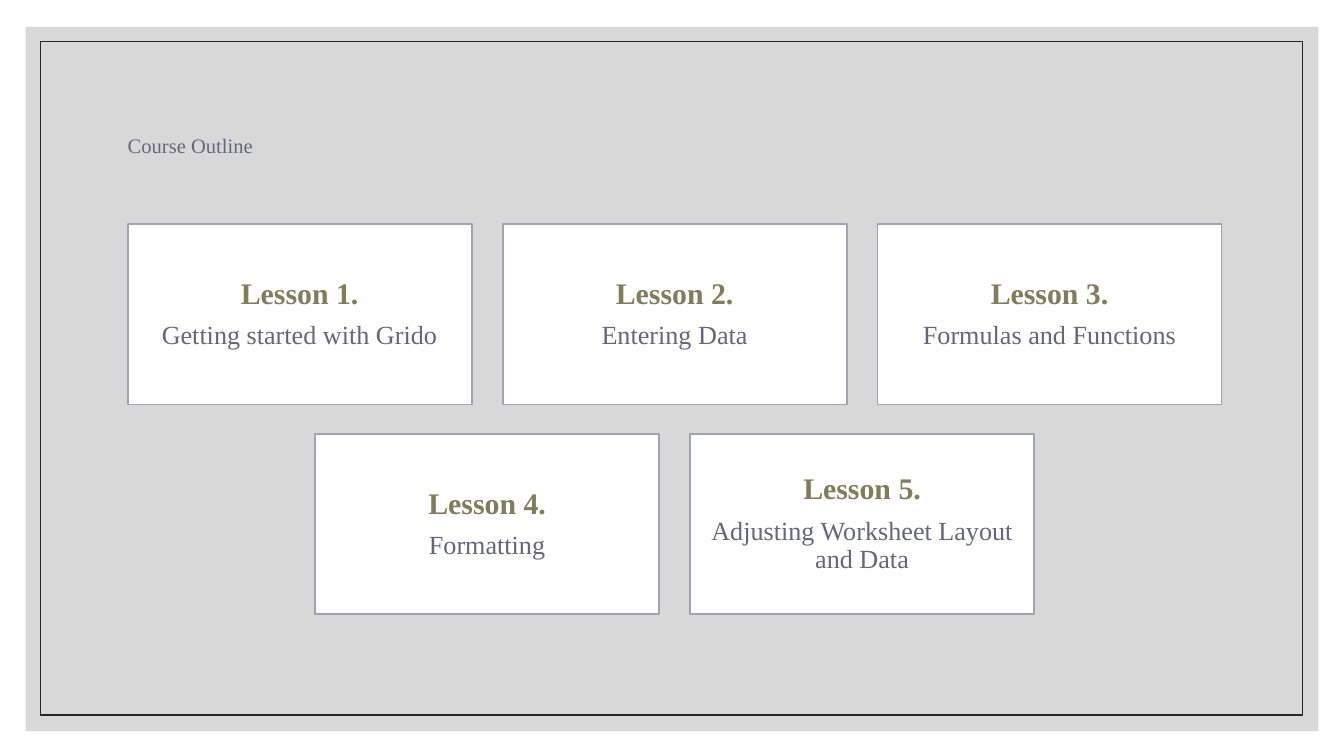
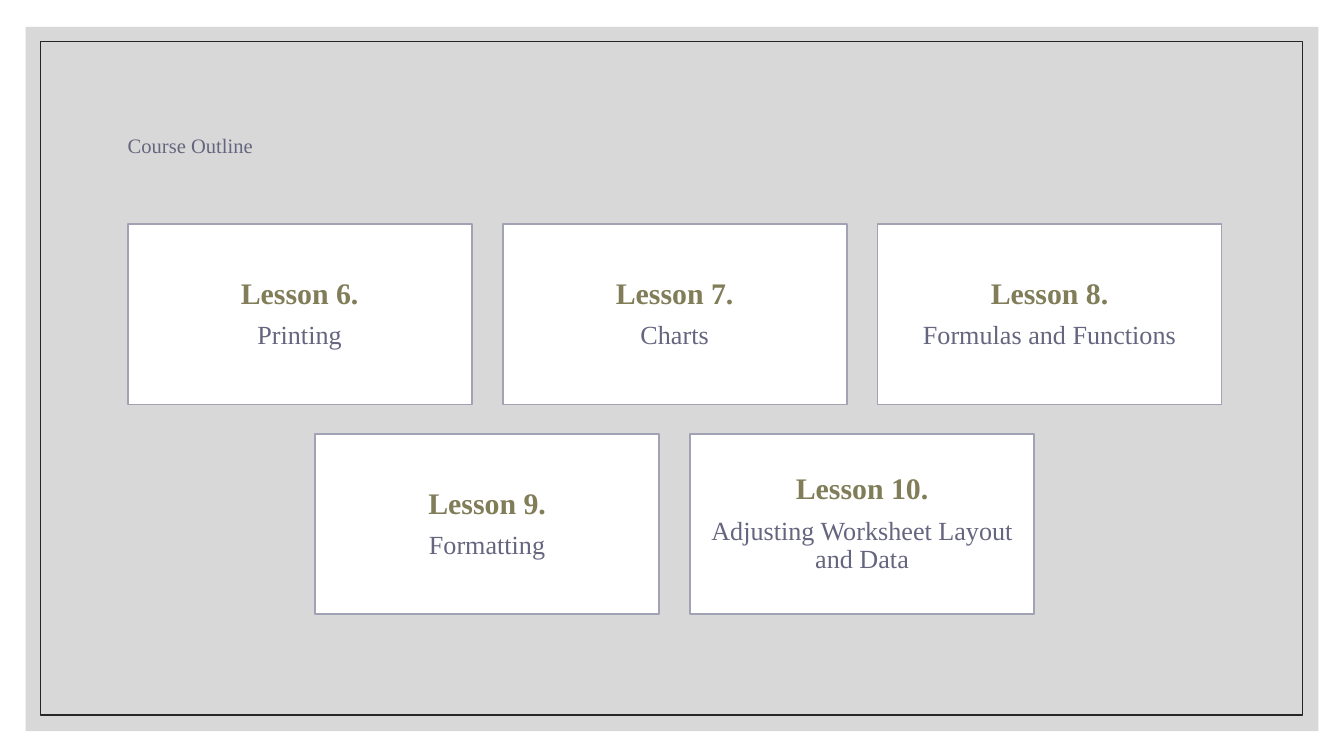
import pptx
import pptx.dml.color
import pptx.enum.shapes
import pptx.enum.text
import pptx.oxml.ns
import pptx.util
from lxml import etree
from pptx.util import Inches

RGBColor = pptx.dml.color.RGBColor
PP_ALIGN = pptx.enum.text.PP_ALIGN

# Colours
WHITE = RGBColor(0xFF, 0xFF, 0xFF)
PANEL_GREY = RGBColor(0xBF, 0xBF, 0xBF)
FRAME_BLACK = RGBColor(0x26, 0x26, 0x26)
CARD_EDGE = RGBColor(0xA2, 0xA2, 0xB5)
SLATE = RGBColor(0x65, 0x65, 0x7F)
OLIVE = RGBColor(0x80, 0x7D, 0x58)

# Text styles
FONT = "Times New Roman"
TITLE_FONT = {"name": FONT, "size": pptx.util.Pt(11), "bold": False}
LESSON_FONT = {"name": FONT, "size": pptx.util.Pt(16), "bold": True}
TOPIC_FONT = {"name": FONT, "size": pptx.util.Pt(14), "bold": False}
TITLE_PARAGRAPH = {"alignment": PP_ALIGN.LEFT, "line_spacing": 0.9}
LESSON_PARAGRAPH = {"alignment": PP_ALIGN.CENTER, "line_spacing": 0.9}
TOPIC_PARAGRAPH = {**LESSON_PARAGRAPH, "space_before": pptx.util.Pt(6)}

# Card grid, in inches: each row is centred on the same axis
CARD_WIDTH, CARD_HEIGHT = 2.56, 1.34
COLUMN_GAP, ROW_GAP = 0.23, 0.22
GRID_CENTER, GRID_TOP = 5.02, 1.67
ROW_SIZES = (3, 2)

OUTLINES = [
    ["Getting started with Grido", "Entering Data", "Formulas and Functions",
     "Formatting", "Adjusting Worksheet Layout and Data"],
    ["Printing", "Charts", "Formulas and Functions",
     "Formatting", "Adjusting Worksheet Layout and Data"],
]


def apply_format(target, values):
    for attribute, value in values.items():
        setattr(target, attribute, value)


def add_rectangle(slide, box, fill=None, line=None, width=1, alpha=None):
    rectangle = slide.shapes.add_shape(
        pptx.enum.shapes.MSO_SHAPE.RECTANGLE, *map(Inches, box))
    rectangle.shadow.inherit = False
    if fill is None:
        rectangle.fill.background()
    else:
        rectangle.fill.solid()
        rectangle.fill.fore_color.rgb = fill
    if line is None:
        rectangle.line.fill.background()
    else:
        rectangle.line.color.rgb = line
        rectangle.line.width = pptx.util.Pt(width)
    if alpha is not None:
        qn = pptx.oxml.ns.qn
        color = rectangle.fill._xPr.find(qn("a:solidFill")).find(qn("a:srgbClr"))
        etree.SubElement(color, qn("a:alpha"), val=str(alpha * 1000))
    return rectangle


def set_frame(frame, side, end):
    """Wrap and centre the text vertically, with side and top/bottom insets."""
    apply_format(frame, {
        "word_wrap": True,
        "vertical_anchor": pptx.enum.text.MSO_ANCHOR.MIDDLE,
        "margin_left": Inches(side), "margin_right": Inches(side),
        "margin_top": Inches(end), "margin_bottom": Inches(end),
    })


def write(paragraph, text, paragraph_format, font_format, color):
    apply_format(paragraph, paragraph_format)
    run = paragraph.add_run()
    run.text = text
    apply_format(run.font, font_format)
    run.font.color.rgb = color


def add_backdrop(slide):
    add_rectangle(slide, (0.19, 0.2, 9.62, 5.24), fill=PANEL_GREY, alpha=60)
    add_rectangle(slide, (0.3, 0.31, 9.39, 5.01), line=FRAME_BLACK, width=0.75)


def add_title(slide, text):
    title = slide.shapes.add_textbox(*map(Inches, (0.88, 0.53, 8.25, 1.12)))
    set_frame(title.text_frame, 0.07, 0.04)
    write(title.text_frame.paragraphs[0], text, TITLE_PARAGRAPH, TITLE_FONT, SLATE)


def add_lesson_card(slide, left, top, number, topic):
    card = add_rectangle(slide, (left, top, CARD_WIDTH, CARD_HEIGHT),
                         fill=WHITE, line=CARD_EDGE)
    frame = card.text_frame
    set_frame(frame, 0.06, 0.07)
    write(frame.paragraphs[0], f"Lesson {number}.", LESSON_PARAGRAPH, LESSON_FONT, OLIVE)
    write(frame.add_paragraph(), topic, TOPIC_PARAGRAPH, TOPIC_FONT, SLATE)


def card_positions():
    pitch = CARD_WIDTH + COLUMN_GAP
    for row, count in enumerate(ROW_SIZES):
        row_left = GRID_CENTER - (count * pitch - COLUMN_GAP) / 2
        for column in range(count):
            yield row_left + column * pitch, GRID_TOP + row * (CARD_HEIGHT + ROW_GAP)


def main():
    deck = pptx.Presentation()
    # Widescreen, 16:9
    deck.slide_width = Inches(10)
    deck.slide_height = Inches(10 * 9 / 16)
    lesson = 1
    for topics in OUTLINES:
        slide = deck.slides.add_slide(deck.slide_layouts[6])
        add_backdrop(slide)
        add_title(slide, "Course Outline")
        for (left, top), topic in zip(card_positions(), topics):
            add_lesson_card(slide, left, top, lesson, topic)
            lesson += 1
    deck.save("out.pptx")


if __name__ == "__main__":
    main()
